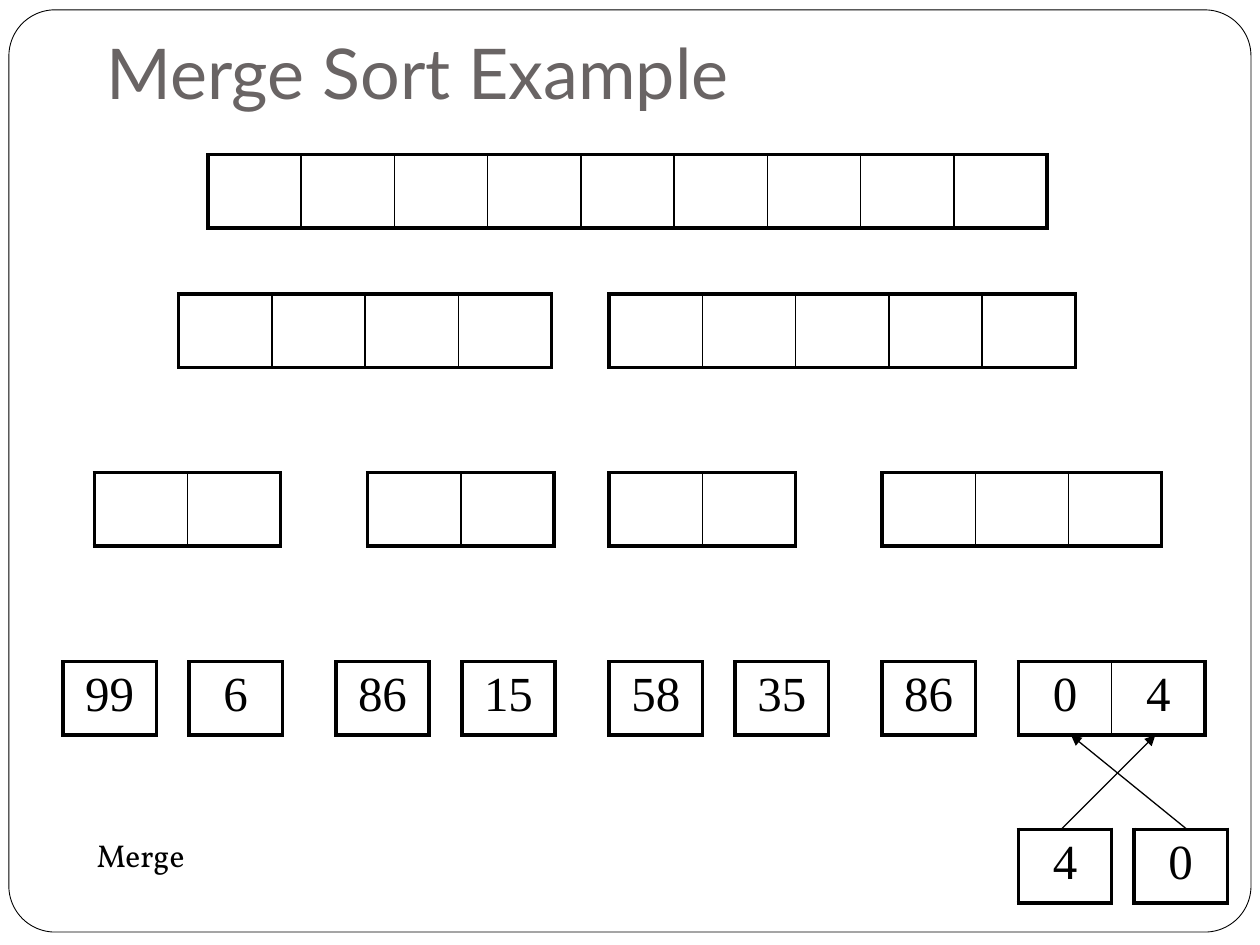
from lxml import etree
from pptx import Presentation, util as u
from pptx.dml.color import RGBColor
from pptx.enum import shapes, text
from pptx.oxml.ns import qn

BLACK, WHITE, GREY = "000000", "FFFFFF", "696464"
CELL_WIDTH, CELL_HEIGHT = 1.88, 1.48
OUTER, INNER = 2.25, 1
ARRAY_ROWS = [
    (3.12, [(4.19, [""] * 9)]),
    (5.93, [(3.6, [""] * 4), (12.28, [""] * 5)]),
    (9.53, [(1.9, [""] * 2), (7.41, [""] * 2), (12.28, [""] * 2), (17.78, [""] * 3)]),
    (13.34, [(1.27, ["99"]), (3.81, ["6"]), (6.77, ["86"]), (9.31, ["15"]),
             (12.28, ["58"]), (14.82, ["35"]), (17.78, ["86"]), (20.53, ["0", "4"])]),
    (16.72, [(20.53, ["4"]), (22.86, ["0"])]),
]
MERGE_ARROWS = [(23.93, 21.59), (21.39, 23.29)]


def color(value):
    return RGBColor.from_string(value)


def style_text(para, font, size, value):
    for span in para.runs:
        span.font.name = font
        span.font.size = u.Pt(size)
        span.font.color.rgb = color(value)


def add_frame(page):
    frame = page.shapes.add_shape(shapes.MSO_SHAPE.ROUNDED_RECTANGLE,
                                  u.Cm(0.18), u.Cm(0.2), u.Cm(25.04), u.Cm(18.59))
    frame.adjustments[0] = 0.05
    frame.shadow.inherit = False
    frame.fill.solid()
    frame.fill.fore_color.rgb = color(WHITE)
    frame.line.color.rgb = color(BLACK)
    frame.line.width = u.Pt(0.5)


def add_label(page, words, left, top, width, height, font, size, value,
              anchor=text.MSO_ANCHOR.TOP, bottom=0.13):
    box = page.shapes.add_textbox(u.Cm(left), u.Cm(top), u.Cm(width), u.Cm(height))
    frame = box.text_frame
    frame.word_wrap = True
    frame.vertical_anchor = anchor
    frame.margin_bottom = u.Cm(bottom)
    frame.text = words
    style_text(frame.paragraphs[0], font, size, value)


def set_border(cell, side, width):
    properties = cell._tc.get_or_add_tcPr()
    line = etree.SubElement(properties, qn(f"a:ln{side}"), w=str(u.Pt(width)))
    fill = etree.SubElement(line, qn("a:solidFill"))
    etree.SubElement(fill, qn("a:srgbClr"), val=BLACK)


def add_array(page, left, top, values):
    count = len(values)
    table = page.shapes.add_table(1, count, u.Cm(left), u.Cm(top),
                                  u.Cm(CELL_WIDTH * count), u.Cm(CELL_HEIGHT)).table
    table.first_row = table.horz_banding = False
    for index, value in enumerate(values):
        table.columns[index].width = u.Cm(CELL_WIDTH)
        cell = table.cell(0, index)
        set_border(cell, "L", OUTER if index == 0 else INNER)
        set_border(cell, "R", OUTER if index == count - 1 else INNER)
        set_border(cell, "T", OUTER)
        set_border(cell, "B", OUTER)
        cell.fill.background()
        if value:
            cell.text = value
            para = cell.text_frame.paragraphs[0]
            para.alignment = text.PP_ALIGN.CENTER
            style_text(para, "Times New Roman", 28, BLACK)


def add_arrow(page, start_x, start_y, end_x, end_y):
    arrow = page.shapes.add_connector(shapes.MSO_CONNECTOR.STRAIGHT, u.Cm(start_x),
                                      u.Cm(start_y), u.Cm(end_x), u.Cm(end_y))
    arrow.line.color.rgb = color(BLACK)
    arrow.line.width = u.Pt(0.75)
    etree.SubElement(arrow.line._get_or_add_ln(), qn("a:tailEnd"), type="triangle")
    etree.SubElement(arrow._element.spPr, qn("a:effectLst"))


def main():
    deck = Presentation()
    deck.slide_width, deck.slide_height = u.Cm(25.4), u.Cm(19.05)
    page = deck.slides.add_slide(deck.slide_layouts[6])
    add_frame(page)
    add_label(page, "Merge Sort Example", 1.9, 0, 21.59, 2.54, "Lato", 40, GREY,
              text.MSO_ANCHOR.BOTTOM, 0.25)
    for top, arrays in ARRAY_ROWS:
        for left, values in arrays:
            add_array(page, left, top, values)
    add_label(page, "Merge", 1.7, 16.72, 12.9, 1.27, "Vollkorn", 18, BLACK)
    for start_x, end_x in MERGE_ARROWS:
        add_arrow(page, start_x, 16.72, end_x, 14.82)
    deck.save("out.pptx")


if __name__ == "__main__":
    main()
